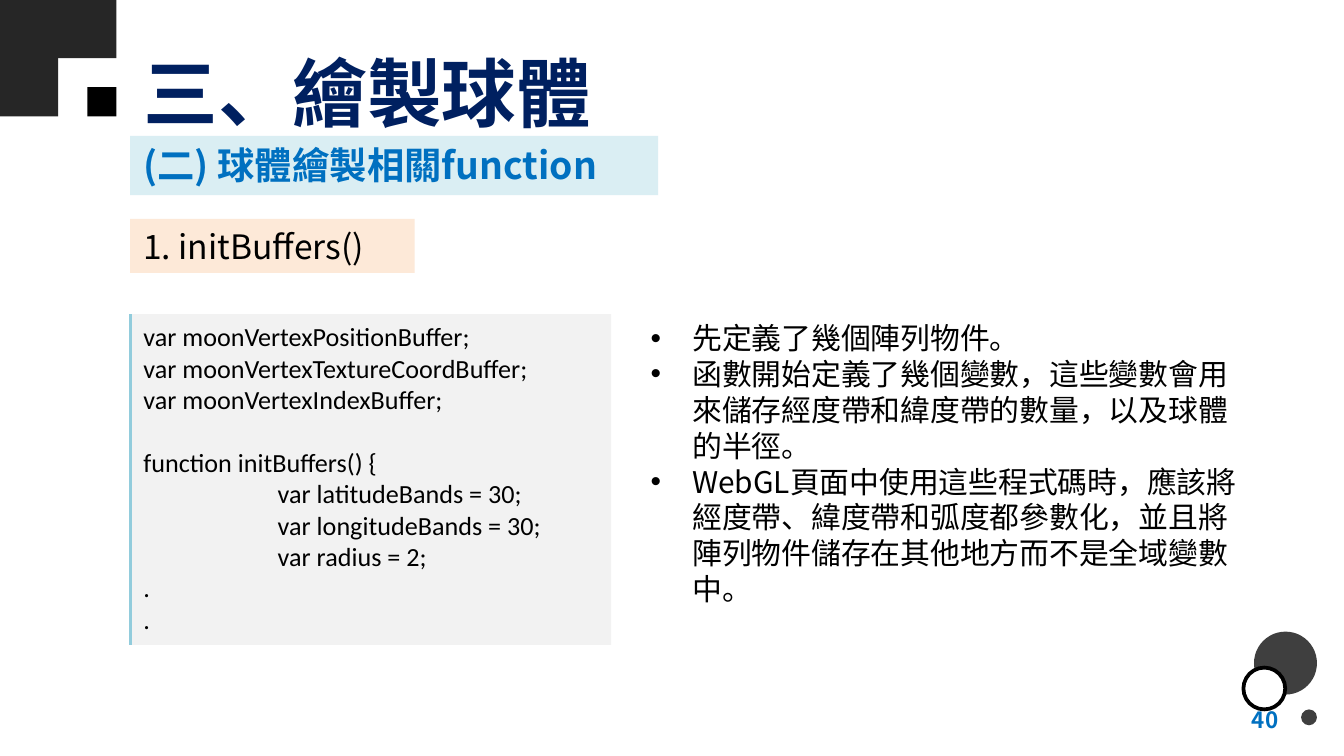
"""Build the slide on the initBuffers() function for drawing a sphere."""
from lxml import etree
from pptx import Presentation
from pptx.dml.color import RGBColor
from pptx.enum.shapes import MSO_CONNECTOR, MSO_SHAPE
from pptx.enum.text import MSO_ANCHOR, MSO_AUTO_SIZE, PP_ALIGN
from pptx.oxml.ns import qn
from pptx.util import Cm, Pt

RECTANGLE, OVAL = MSO_SHAPE.RECTANGLE, MSO_SHAPE.OVAL
STRAIGHT = MSO_CONNECTOR.STRAIGHT
TOP, MIDDLE = MSO_ANCHOR.TOP, MSO_ANCHOR.MIDDLE
LEFT, RIGHT = PP_ALIGN.LEFT, PP_ALIGN.RIGHT
NO_AUTOFIT = MSO_AUTO_SIZE.NONE

CJK, LATIN = "Noto Sans CJK TC", "Calibri"
COLORS = {
    "navy": "002060", "blue": "0070C0", "black": "000000", "white": "FFFFFF",
    "corner": "262626", "dot": "3F3F3F", "section": "DAEEF3",
    "step": "FDE9D8", "code": "F2F2F2", "rule": "92CCDC",
}
MARGIN = 2.46


def add_block(kind, left, top, width, height, color):
    block = slide.shapes.add_shape(kind, Cm(left), Cm(top), Cm(width), Cm(height))
    block.shadow.inherit = False
    block.fill.solid()
    block.fill.fore_color.rgb = RGBColor.from_string(COLORS[color])
    block.line.fill.background()
    return block


def write(holder, lines, size, color, font=CJK, bold=False, anchor=TOP, align=LEFT):
    frame = holder.text_frame
    frame.word_wrap = True
    frame.auto_size = NO_AUTOFIT
    frame.vertical_anchor = anchor
    for number, line in enumerate(lines):
        paragraph = frame.add_paragraph() if number else frame.paragraphs[0]
        paragraph.alignment = align
        paragraph.space_before = Pt(0)
        run = paragraph.add_run()
        run.text = line
        run.font.size = Pt(size)
        run.font.bold = bold
        run.font.name = font
        run.font.color.rgb = RGBColor.from_string(COLORS[color])
        etree.SubElement(run.font._element, qn("a:ea"), typeface=font)
    return frame.paragraphs


prs = Presentation()
prs.slide_width, prs.slide_height = Cm(25.4), Cm(14.29)
slide = prs.slides.add_slide(prs.slide_layouts[1])

title = slide.shapes.title
title.left, title.top, title.width, title.height = Cm(MARGIN), Cm(0.53), Cm(16.23), Cm(2.39)
write(title, ["三、繪製球體"], 40, "navy", bold=True, anchor=MIDDLE)

corner_side = 1.1
for column, row in [(0, 0), (1, 0), (0, 1)]:
    add_block(RECTANGLE, column * corner_side, row * corner_side,
              corner_side, corner_side, "corner")
add_block(RECTANGLE, 1.5 * corner_side, 1.5 * corner_side,
          corner_side / 2, corner_side / 2, "black")

add_block(OVAL, 23.7, 11.94, 1.19, 1.19, "dot")
add_block(OVAL, 24.59, 13.41, 0.3, 0.3, "dot")
ring = add_block(OVAL, 23.5, 12.62, 0.79, 0.79, "white")
ring.line.color.rgb = RGBColor.from_string(COLORS["black"])
ring.line.width = Pt(2)

page_number = slide.shapes.add_textbox(Cm(18.49), Cm(13.23), Cm(5.92), Cm(0.76))
write(page_number, ["40"], 12, "blue", bold=True, anchor=MIDDLE, align=RIGHT)

section = add_block(RECTANGLE, MARGIN, 2.57, 9.98, 1.12, "section")
write(section, ["(二) 球體繪製相關function"], 20, "blue", bold=True)

step = add_block(RECTANGLE, MARGIN, 4.14, 5.38, 1.02, "step")
write(step, ["1. initBuffers()"], 18, "black")

code = add_block(RECTANGLE, MARGIN, 5.94, 9.09, 6.25, "code")
code_lines = [
    "var moonVertexPositionBuffer;",
    "var moonVertexTextureCoordBuffer;",
    "var moonVertexIndexBuffer;",
    " ",
    "function initBuffers() {",
    "\tvar latitudeBands = 30;",
    "\tvar longitudeBands = 30;",
    "\tvar radius = 2;",
    ".",
    ".",
]
for paragraph in write(code, code_lines, 14, "black", font=LATIN):
    tabs = etree.SubElement(paragraph._p.get_or_add_pPr(), qn("a:tabLst"))
    etree.SubElement(tabs, qn("a:tab"), pos=str(Cm(2.54)), algn="l")

code_rule = slide.shapes.add_connector(
    STRAIGHT, code.left, code.top, code.left, code.top + code.height)
code_rule.line.color.rgb = RGBColor.from_string(COLORS["rule"])
code_rule.line.width = Pt(1.5)
etree.SubElement(code_rule._element.spPr, qn("a:effectLst"))

notes = slide.placeholders[1]
notes.left, notes.top, notes.width, notes.height = Cm(12.04), Cm(5.92), Cm(11.66), Cm(5.74)
explanations = [
    "先定義了幾個陣列物件。",
    "函數開始定義了幾個變數，這些變數會用來儲存經度帶和緯度帶的數量，以及球體的半徑。",
    "WebGL頁面中使用這些程式碼時，應該將經度帶、緯度帶和弧度都參數化，並且將陣列物件儲存在其他地方而不是全域變數中。",
]
for paragraph in write(notes, explanations, 16, "black"):
    properties = paragraph._p.get_or_add_pPr()
    properties.set("marL", str(Cm(0.79)))
    properties.set("indent", str(-Cm(0.79)))
    bullet_color = etree.SubElement(properties, qn("a:buClr"))
    etree.SubElement(bullet_color, qn("a:srgbClr"), val=COLORS["black"])
    etree.SubElement(properties, qn("a:buFont"), typeface="Arial")
    etree.SubElement(properties, qn("a:buChar"), char="•")

prs.save("out.pptx")
